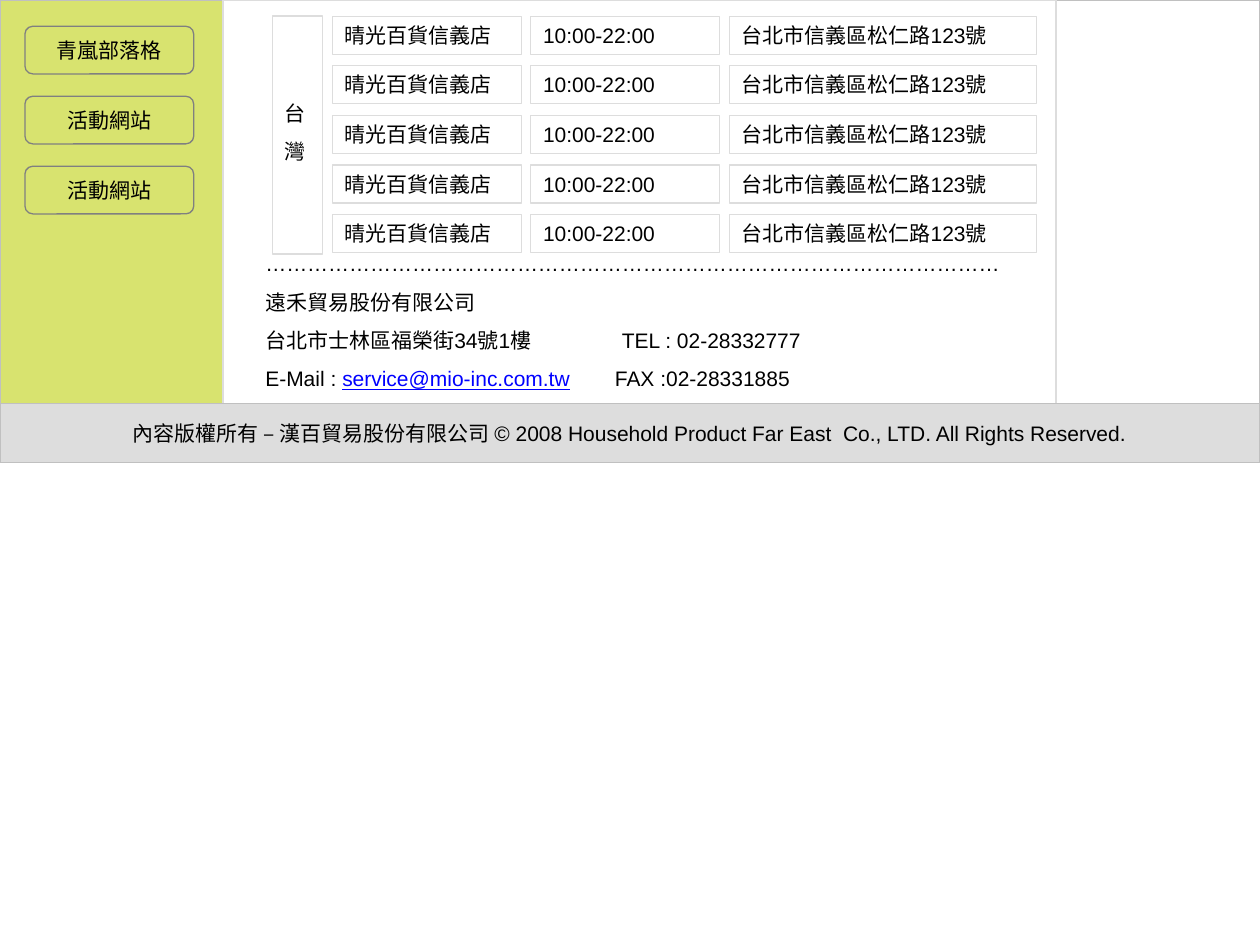
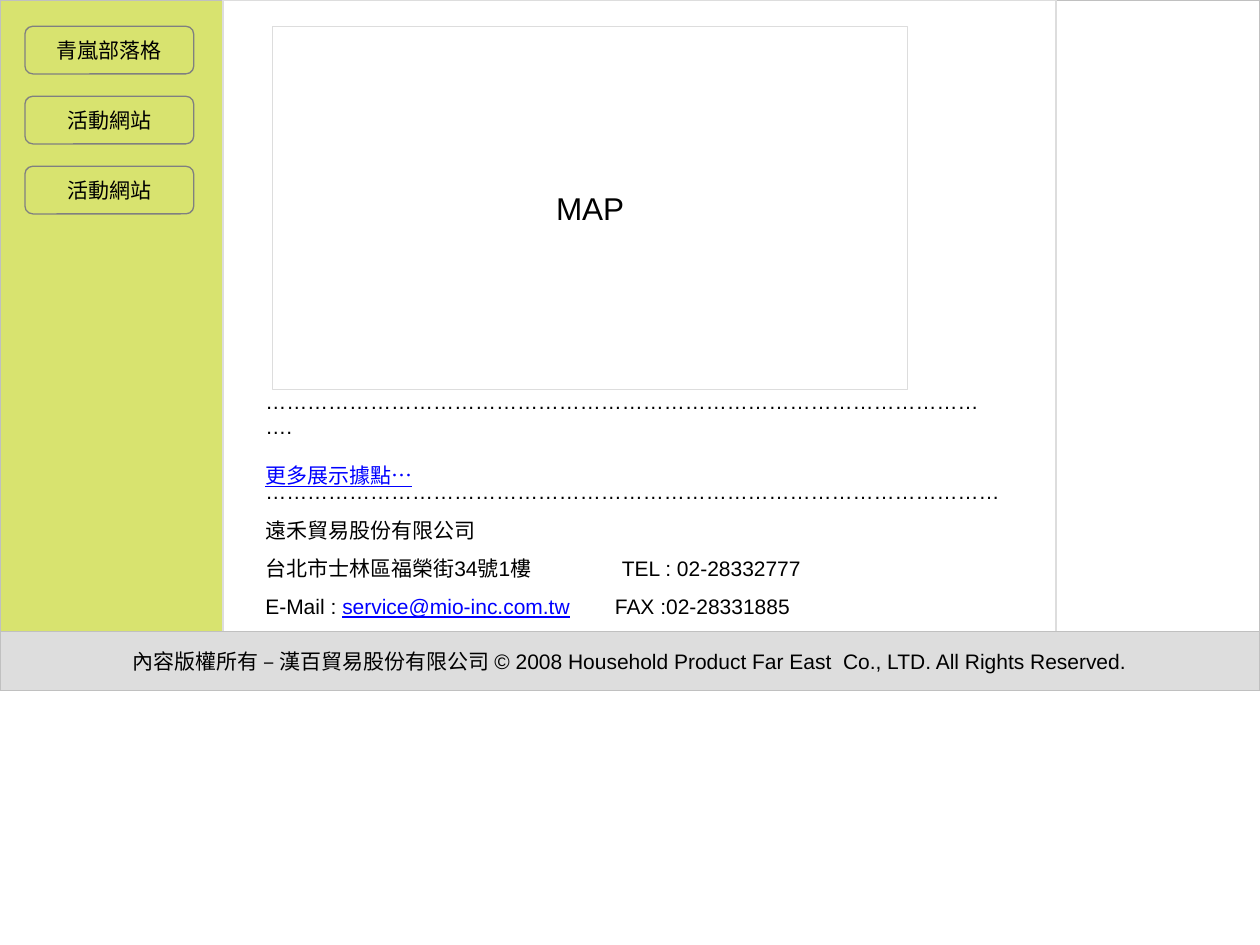
from pptx import Presentation
from pptx.dml.color import RGBColor
from pptx.enum.shapes import MSO_SHAPE
from pptx.enum.text import MSO_ANCHOR, PP_ALIGN
from pptx.oxml import parse_xml
from pptx.oxml.ns import nsdecls
from pptx.util import Pt

# Content: a paragraph is a list of (text, style) runs
MENU = ["青嵐部落格", "活動網站", "活動網站"]
REGION = ["台", "灣"]
STORES = [("晴光百貨信義店", "10:00-22:00", "台北市信義區松仁路123號")] * 5
DOTS = "…" * 35
CONTACT = [
    [(DOTS, "body")],
    [("遠禾貿易股份有限公司", "body")],
    [("台北市士林區福榮街34號1樓\tTEL : 02-28332777", "body")],
    [("E-Mail : ", "body"), ("service@mio-inc.com.tw", "link"),
     ("\tFAX :02-28331885", "body")],
]
CONTACT_TABS = {2: 203.75, 3: 199.75}
MAP_LABEL = "MAP"
MORE = [[(DOTS + ".", "body")], [("更多展示據點…", "link")]]
COPYRIGHT = ("內容版權所有 – 漢百貿易股份有限公司 © 2008 Household Product "
             "Far East  Co., LTD. All Rights Reserved.")

# Shared look
COLORS = {"lime": "D8E36F", "white": "FFFFFF", "footer": "DDDDDD", "edge": "C0C0C0",
          "frame": "DDDDDD", "button": "808080", "text": "000000", "link": "0000FF"}
STYLES = {
    "body": {"name": "Arial", "size": Pt(12), "underline": False},
    "link": {"name": "Arial", "size": Pt(12), "underline": True},
    "map": {"name": "Arial", "size": Pt(18), "underline": False},
}
INSETS = (7.2, 3.6, 7.2, 3.6)

# Layout, in points
PAGE_W, PAGE_H = 720, 540
SIDEBAR_W, PANEL_W, FOOTER_H = 127.5, 476, 33.75
BUTTON_X, BUTTON_Y, BUTTON_W, BUTTON_H, BUTTON_STEP = 14.25, 15, 96.5, 27.25, 40
CONTENT_X, TEXT_X = 155.75, 144.5
STORE_COLUMNS = [(190, 108), (303.25, 108), (416.75, 175.75)]
STORE_Y, STORE_H, STORE_STEP = 9.25, 21.75, 28.35
CONTACT_W, CONTACT_H = 436.5, 90.75


def color(key):
    return RGBColor.from_string(COLORS[key])


def write(target, paragraphs, align=PP_ALIGN.LEFT, anchor=MSO_ANCHOR.MIDDLE,
          insets=INSETS, wrap=False, gap=7.5, tabs=None):
    frame = target.text_frame
    margins = zip(("left", "top", "right", "bottom"), insets)
    settings = {"word_wrap": wrap, "vertical_anchor": anchor,
                **{f"margin_{side}": Pt(inset) for side, inset in margins}}
    for name, value in settings.items():
        setattr(frame, name, value)
    for index, runs in enumerate(paragraphs):
        paragraph = frame.add_paragraph() if index else frame.paragraphs[0]
        paragraph.alignment = align
        if index:
            paragraph.space_before = Pt(gap)
        if tabs and index in tabs:
            paragraph._p.get_or_add_pPr().append(parse_xml(
                f'<a:tabLst {nsdecls("a")}>'
                f'<a:tab pos="{Pt(tabs[index])}" algn="l"/></a:tabLst>'))
        for text, style in runs:
            run = paragraph.add_run()
            run.text = text
            for name, value in STYLES[style].items():
                setattr(run.font, name, value)
            run.font.color.rgb = color("link" if style == "link" else "text")


def box(slide, x, y, w, h, fill, line, kind=MSO_SHAPE.RECTANGLE):
    block = slide.shapes.add_shape(kind, Pt(x), Pt(y), Pt(w), Pt(h))
    block.shadow.inherit = False
    if fill:
        block.fill.solid()
        block.fill.fore_color.rgb = color(fill)
    else:
        block.fill.background()
    block.line.color.rgb = color(line)
    block.line.width = Pt(0.75)
    return block


def label(slide, x, y, w, h, paragraphs, **options):
    note = slide.shapes.add_textbox(Pt(x), Pt(y), Pt(w), Pt(h))
    write(note, paragraphs, **options)


def add_page(deck, floor):
    """Page frame, menu, contact block and footer; floor is the footer's top."""
    slide = deck.slides.add_slide(deck.slide_layouts[6])
    panel_end = SIDEBAR_W + PANEL_W
    box(slide, 0, 0, SIDEBAR_W, floor, "lime", "edge")
    box(slide, panel_end, 0, PAGE_W - panel_end, floor, "white", "edge")
    box(slide, SIDEBAR_W, 0, PANEL_W, floor + 8, "white", "frame")
    footer = box(slide, 0, floor, PAGE_W, FOOTER_H, "footer", "edge")
    write(footer, [[(COPYRIGHT, "body")]], align=PP_ALIGN.CENTER)
    label(slide, TEXT_X, floor - CONTACT_H, CONTACT_W, CONTACT_H, CONTACT,
          anchor=MSO_ANCHOR.TOP, tabs=CONTACT_TABS)
    for row, item in enumerate(MENU):
        button = box(slide, BUTTON_X, BUTTON_Y + row * BUTTON_STEP, BUTTON_W, BUTTON_H,
                     "lime", "button", MSO_SHAPE.ROUNDED_RECTANGLE)
        write(button, [[(item, "body")]], align=PP_ALIGN.CENTER,
              insets=(4.3, 2.2, 4.3, 2.2))
    return slide


def add_store_page(deck):
    slide = add_page(deck, 230.5)
    region = box(slide, CONTENT_X, STORE_Y, 28.5, 136, None, "frame")
    write(region, [[(sign, "body")] for sign in REGION], insets=(7.2, 3.6, 7.2, 7))
    for row, store in enumerate(STORES):
        for (x, w), detail in zip(STORE_COLUMNS, store):
            cell = box(slide, x, STORE_Y + row * STORE_STEP, w, STORE_H, None, "frame")
            write(cell, [[(detail, "body")]], anchor=MSO_ANCHOR.TOP, wrap=True)


def add_map_page(deck):
    slide = add_page(deck, 360.75)
    area = box(slide, CONTENT_X, 15, 363, 207.5, "white", "frame")
    write(area, [[(MAP_LABEL, "map")]], align=PP_ALIGN.CENTER)
    label(slide, TEXT_X, 224.75, 430.5, 51, MORE, gap=13.8)


def main():
    deck = Presentation()
    deck.slide_width, deck.slide_height = Pt(PAGE_W), Pt(PAGE_H)
    add_store_page(deck)
    add_map_page(deck)
    deck.save("out.pptx")


if __name__ == "__main__":
    main()
